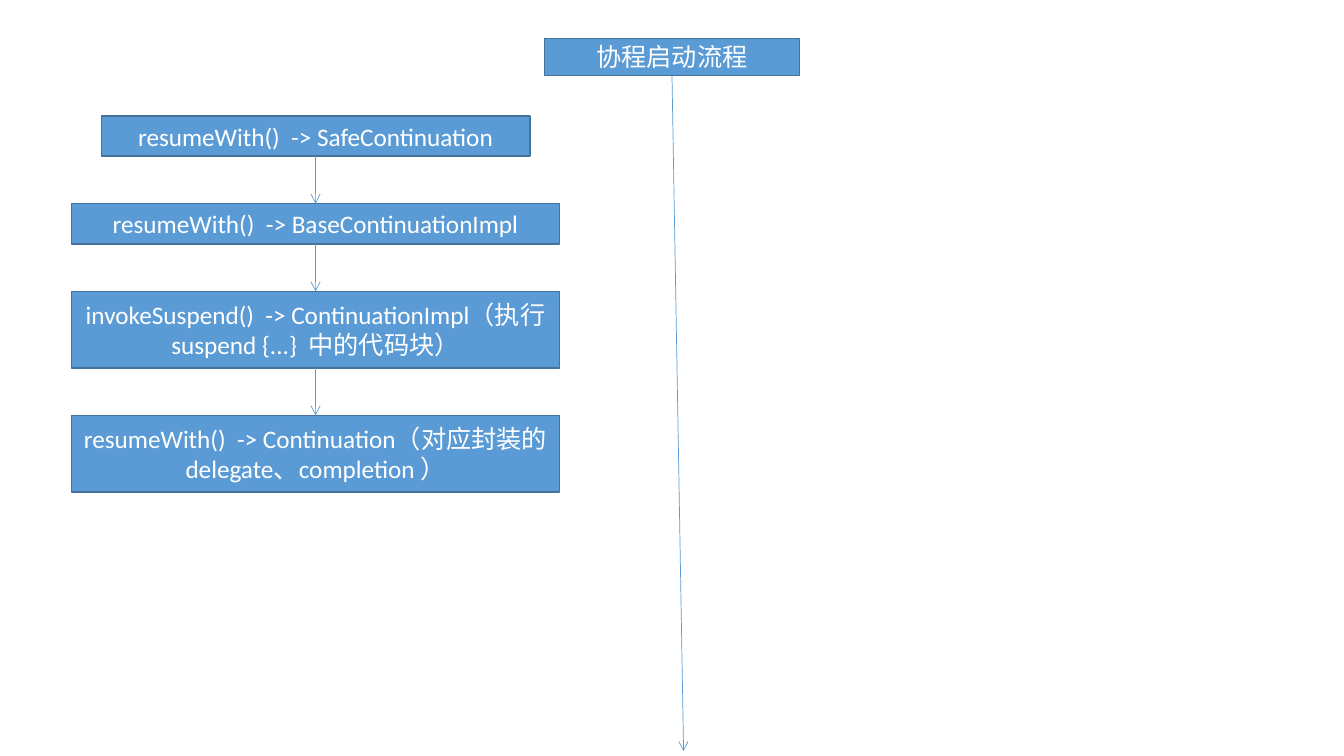
from lxml import etree
from pptx import Presentation
from pptx.dml.color import RGBColor
from pptx.enum.shapes import MSO_CONNECTOR, MSO_SHAPE
from pptx.enum.text import MSO_ANCHOR, PP_ALIGN
from pptx.oxml.ns import qn
from pptx.util import Inches, Pt

RECT, LINE = MSO_SHAPE.RECTANGLE, MSO_CONNECTOR.STRAIGHT
MIDDLE, CENTER = MSO_ANCHOR.MIDDLE, PP_ALIGN.CENTER
BLUE = RGBColor(0x5B, 0x9B, 0xD5)
EDGE = RGBColor(0x43, 0x73, 0x9E)
WHITE = RGBColor(0xFF, 0xFF, 0xFF)
FONT = "Calibri"
BOTTOM, TOP = 2, 0

TITLE = "协程启动流程"
# text, width, height
STEPS = [
    ("resumeWith()  -> SafeContinuation", 4.25, 0.4),
    ("resumeWith()  -> BaseContinuationImpl", 4.84, 0.4),
    ("invokeSuspend()  -> ContinuationImpl（执行suspend {...}  中的代码块）", 4.84, 0.76),
    ("resumeWith()  -> Continuation（对应封装的delegate、completion ）", 4.84, 0.76),
]
WIDTH, HEIGHT = 13.33, 7.5
AXIS, START, GAP = 3.13, 1.15, 0.47
MID = WIDTH / 2
TIP = (6.78, 7.45)


def add_box(slide, text, mid, top, width, height):
    """Add a filled box centred on the column at mid."""
    box = slide.shapes.add_shape(
        RECT, Inches(mid - width / 2), Inches(top), Inches(width), Inches(height))
    box.shadow.inherit = False
    box.fill.solid()
    box.fill.fore_color.rgb = BLUE
    box.line.color.rgb = EDGE
    box.line.width = Pt(1)
    frame = box.text_frame
    frame.word_wrap = True
    frame.vertical_anchor = MIDDLE
    para = frame.paragraphs[0]
    para.alignment = CENTER
    run = para.add_run()
    run.text = text
    run.font.name = FONT
    run.font.size = Pt(18)
    run.font.color.rgb = WHITE
    return box


def add_arrow(slide, box, x, y):
    """Add an arrow from the bottom of box to a point."""
    arrow = slide.shapes.add_connector(LINE, 0, 0, Inches(x), Inches(y))
    arrow.begin_connect(box, BOTTOM)
    arrow.line.color.rgb = BLUE
    arrow.line.width = Pt(0.5)
    etree.SubElement(arrow.line._get_or_add_ln(), qn("a:tailEnd"), type="arrow")
    etree.SubElement(arrow._element.spPr, qn("a:effectLst"))
    return arrow


def main():
    deck = Presentation()
    deck.slide_width, deck.slide_height = Inches(WIDTH), Inches(HEIGHT)
    slide = deck.slides.add_slide(deck.slide_layouts[6])

    title = add_box(slide, TITLE, MID, 0.38, 2.53, 0.37)
    add_arrow(slide, title, *TIP)

    top, last = START, None
    for text, width, height in STEPS:
        box = add_box(slide, text, AXIS, top, width, height)
        if last:
            add_arrow(slide, last, AXIS, top).end_connect(box, TOP)
        last = box
        top += height + GAP

    deck.save("out.pptx")


if __name__ == "__main__":
    main()
